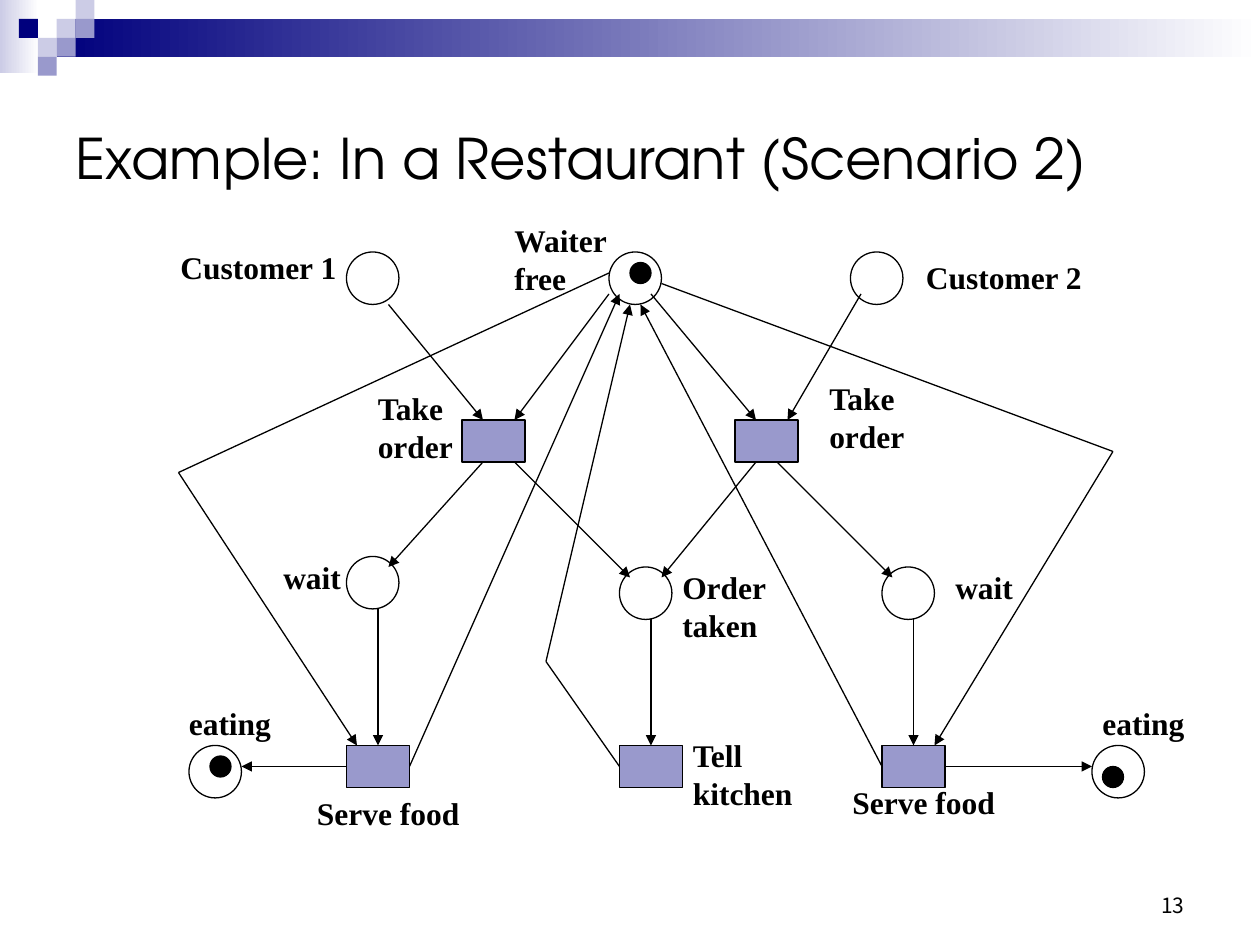
from lxml.etree import SubElement
from itertools import pairwise
from pptx import Presentation
from pptx.dml.color import RGBColor
from pptx.enum.shapes import MSO_CONNECTOR, MSO_SHAPE
from pptx.enum.text import MSO_ANCHOR, PP_ALIGN
from pptx.oxml.ns import qn
from pptx.util import Pt

PX = 7620  # EMU, 120 px to the inch
COLORS = {"ink": "000000", "navy": "00007D", "violet": "9999CC",
          "pale": "CCCCE6", "white": "FFFFFF"}
TITLE_FONT, LABEL_FONT, NUMBER_FONT = "TeX Gyre Adventor", "Times New Roman", "Noto Sans CJK KR"
PLACE, TOKEN, TRANSITION = (50, 50), (20, 20), (60, 40)
TILE = 18

# Petri net, relative to its own box
PLACES = [(170, 40), (420, 40), (650, 40), (170, 330), (430, 340), (680, 340),
          (20, 510), (880, 510)]
TOKENS = [(440, 50), (40, 520), (890, 530)]
TRANSITIONS = [(280, 200), (540, 200), (170, 510), (430, 510), (680, 510)]
ARCS = [
    # Customers and waiter to the two orders
    [(210, 90), (300, 200)], [(420, 80), (330, 200)],
    [(460, 80), (560, 200)], [(660, 80), (590, 200)],
    # Orders to waiting and order taken
    [(300, 240), (210, 340)], [(330, 240), (440, 350)],
    [(560, 240), (470, 350)], [(580, 240), (690, 350)],
    # Down to serving and the kitchen, out to eating
    [(200, 380), (200, 510)], [(460, 390), (460, 510)], [(710, 390), (710, 510)],
    [(170, 530), (70, 530)], [(740, 530), (880, 530)],
    # Back to the waiter
    [(230, 530), (430, 80)], [(680, 530), (450, 90)],
    [(430, 530), (360, 430), (440, 90)],
    # Waiter to serving
    [(420, 60), (10, 250), (180, 510)], [(470, 70), (900, 230), (730, 510)],
]
LABELS = [
    ("Waiter\nfree", 318, 5, 114), ("Customer 1", 0, 30, 173), ("Customer 2", 710, 40, 173),
    ("Take\norder", 188, 165, 96), ("Take\norder", 618, 155, 96),
    ("Order\ntaken", 478, 335, 104), ("Tell\nkitchen", 488, 495, 119),
    ("wait", 98, 326, 79), ("wait", 738, 335, 79),
    ("Serve food", 130, 550, 160), ("Serve food", 640, 540, 160),
    ("eating", 8, 465, 102), ("eating", 878, 465, 102),
]


def emu(*lengths):
    return [length * PX for length in lengths]


def color(name):
    return RGBColor.from_string(COLORS[name])


def format_text(frame, font, size, bold=False, align=PP_ALIGN.LEFT):
    for paragraph in frame.paragraphs:
        paragraph.alignment = align
        for run in paragraph.runs:
            run.font.name, run.font.size, run.font.bold = font, Pt(size), bold
            run.font.color.rgb = color("ink")


def add_figure(slide, preset, box, fill=None, outline=None):
    figure = slide.shapes.add_shape(preset, *emu(*box))
    figure.shadow.inherit = False
    if fill:
        figure.fill.solid()
        figure.fill.fore_color.rgb = color(fill)
    else:
        figure.fill.background()
    if outline:
        figure.line.color.rgb = color(outline)
        figure.line.width = Pt(0.75)
    else:
        figure.line.fill.background()
    return figure


def add_fade(slide, box, start):
    fade = add_figure(slide, MSO_SHAPE.RECTANGLE, box)
    fade.fill.gradient()
    fade.fill.gradient_angle = 0
    for stop, name in zip(fade.fill.gradient_stops, (start, "white")):
        stop.color.rgb = color(name)


def add_segment(slide, start, end, arrow):
    segment = slide.shapes.add_connector(MSO_CONNECTOR.STRAIGHT, *emu(*start, *end))
    segment.line.color.rgb = color("ink")
    segment.line.width = Pt(0.75)
    if arrow:
        SubElement(segment.line._get_or_add_ln(), qn("a:tailEnd"), type="triangle")
    SubElement(segment._element.spPr, qn("a:effectLst"))


def add_banner(slide, left, top, width):
    add_fade(slide, (left, top, 37, 70), "pale")
    add_fade(slide, (left + 54, top + TILE, width - 54, 2 * TILE), "navy")
    # Checker tiles by column and row
    tiles = [(1, 1, "pale"), (2, 0, "pale"), (2, 1, "violet"), (0, 2, "pale"),
             (-1, 1, "navy"), (1, 2, "violet"), (0, 3, "violet")]
    for column, row, fill in tiles:
        box = (left + 36 + column * TILE, top + row * TILE, TILE, TILE)
        add_figure(slide, MSO_SHAPE.RECTANGLE, box, fill)


def add_title(slide, left, top, width, height):
    title = slide.shapes.title
    title.left, title.top, title.width, title.height = emu(left, top, width, height)
    title.text_frame.text = "Example: In a Restaurant (Scenario 2)"
    title.text_frame.vertical_anchor = MSO_ANCHOR.MIDDLE
    format_text(title.text_frame, TITLE_FONT, 32)


def add_petri_net(slide, left, top):
    def moved(x, y):
        return left + x, top + y

    for place in PLACES:
        add_figure(slide, MSO_SHAPE.OVAL, (*moved(*place), *PLACE), outline="ink")
    # Arcs, with the arrowhead on the last segment
    for arc in ARCS:
        points = [moved(*point) for point in arc]
        for start, end in pairwise(points):
            add_segment(slide, start, end, arrow=end == points[-1])
    for text, x, y, width in LABELS:
        height = 84 if "\n" in text else 48
        label = slide.shapes.add_textbox(*emu(*moved(x, y), width, height))
        label.text_frame.word_wrap = False
        label.text_frame.text = text
        format_text(label.text_frame, LABEL_FONT, 18, bold=True)
    for transition in TRANSITIONS:
        add_figure(slide, MSO_SHAPE.RECTANGLE, (*moved(*transition), *TRANSITION), "violet", "ink")
    for token in TOKENS:
        add_figure(slide, MSO_SHAPE.OVAL, (*moved(*token), *TOKEN), "ink", "ink")


def add_page_number(slide, left, top, width, height):
    number = slide.shapes.add_textbox(*emu(left, top, width, height))
    number.text_frame.word_wrap = True
    number.text_frame.vertical_anchor = MSO_ANCHOR.BOTTOM
    number.text_frame.text = "13"
    format_text(number.text_frame, NUMBER_FONT, 12, align=PP_ALIGN.RIGHT)


def main():
    deck = Presentation()
    deck.slide_width, deck.slide_height = emu(1200, 900)
    slide = deck.slides.add_slide(deck.slide_layouts[5])  # title only
    add_banner(slide, 0, 0, 1200)
    add_title(slide, 60, 60, 1080, 180)
    add_petri_net(slide, 160, 200)
    add_page_number(slide, 860, 820, 280, 60)
    deck.save("out.pptx")


if __name__ == "__main__":
    main()
